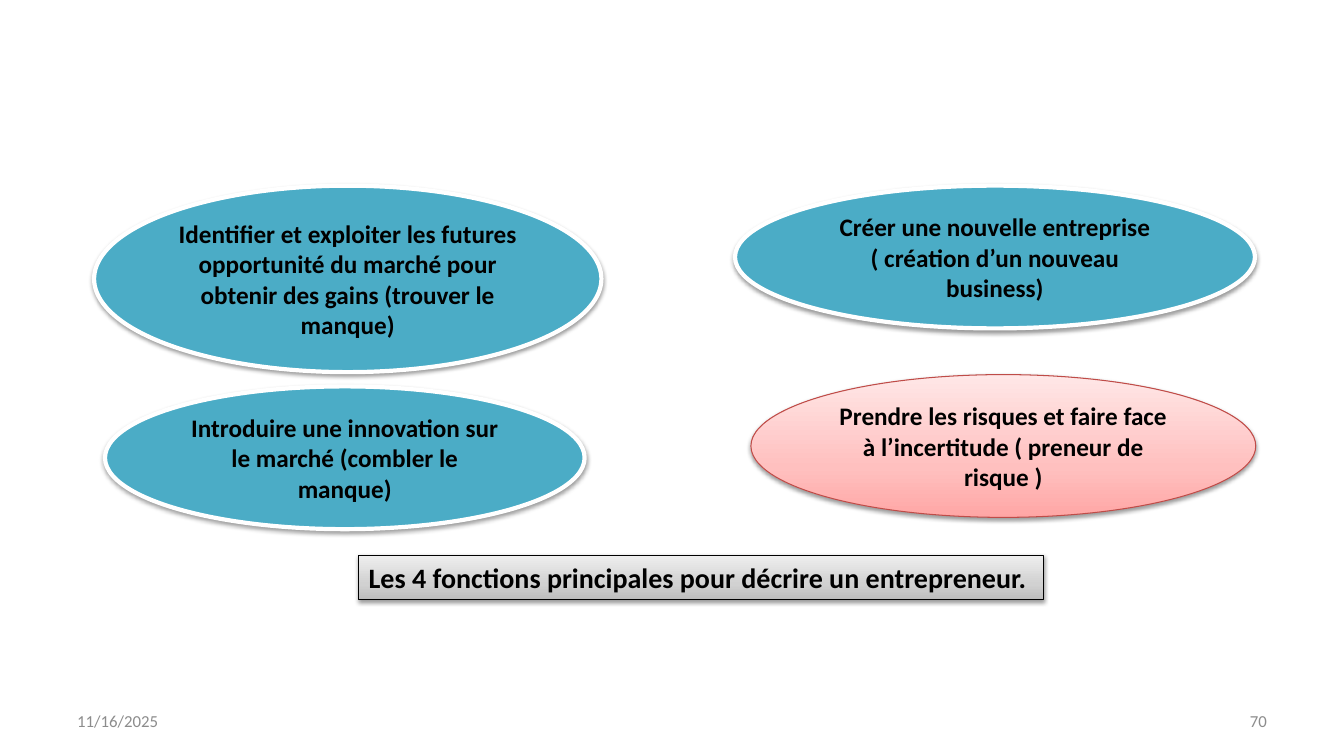
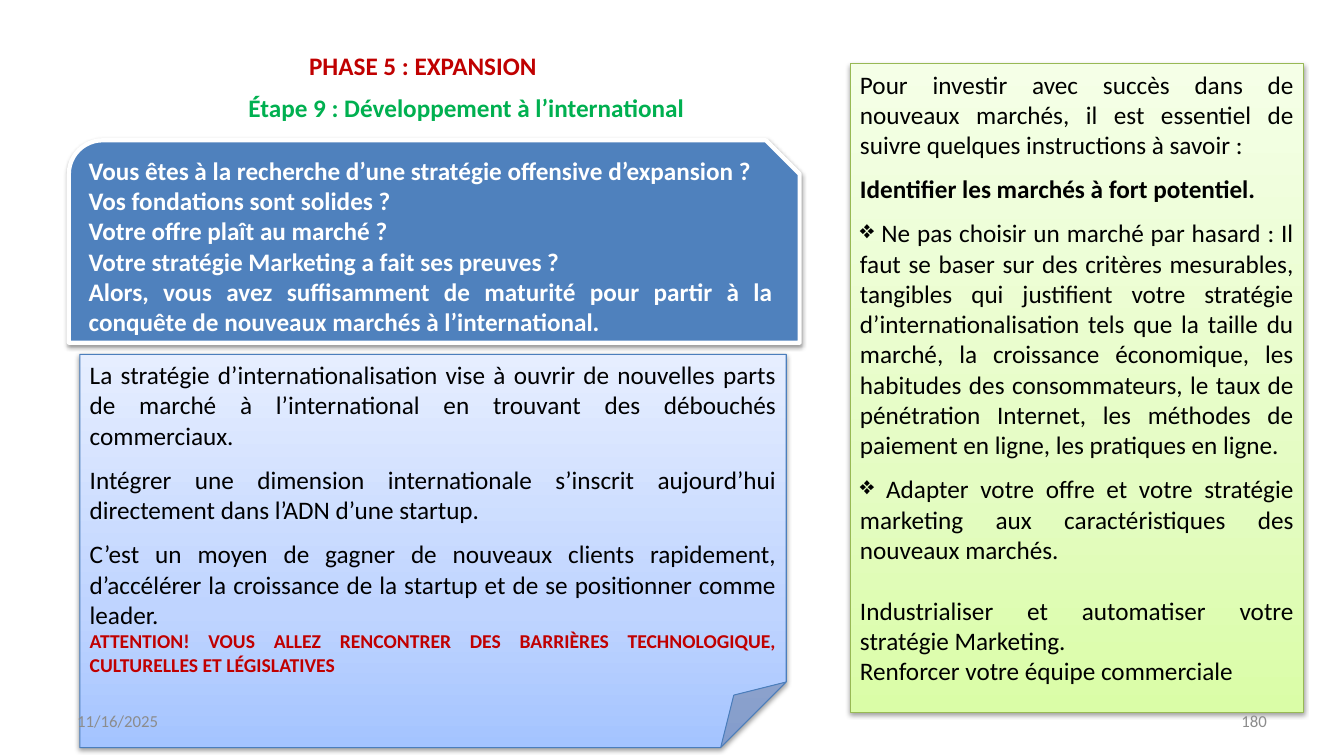
from dataclasses import dataclass

from pptx import Presentation
from pptx.dml.color import RGBColor
from pptx.enum.shapes import MSO_SHAPE as Preset
from pptx.enum.text import MSO_ANCHOR as Anchor, MSO_AUTO_SIZE as AutoSize, PP_ALIGN as Align
from pptx.oxml import parse_xml
from pptx.oxml.ns import nsdecls, qn
from pptx.util import Inches, Pt


@dataclass(frozen=True)
class Theme:
    font: str = "Calibri"
    body: int = 18
    banner: int = 20
    warning: int = 14
    footer: int = 12
    gap: int = 10
    wide_gap: int = 22
    thin_line: float = 0.75
    thick_line: float = 3
    black: str = "000000"
    white: str = "FFFFFF"
    teal: str = "4BACC6"
    blue: str = "4F81BD"
    red: str = "C00000"
    green: str = "00B050"
    muted: str = "8C8C8C"
    pink_line: str = "BF4C48"
    blue_line: str = "4B7EBC"
    lime_line: str = "98B955"
    pink_fade: tuple = ("FFA6A5", "FFC0BF", "FFE7E7")
    gray_fade: tuple = ("BDBDBD", "D1D1D1", "EEEEEE")
    blue_fade: tuple = ("A4C4FF", "BFD4FF", "E6EEFF")
    lime_fade: tuple = ("DAFDA7", "E4FCC2", "F5FFE7")


THEME = Theme()
COLUMNS, ROWS = 80, 45
TITLE_ONLY, BLANK = 5, 6
FADE_STOPS = (0, 35, 100)


def add_paragraph(frame, text, size=THEME.body, color=THEME.black, bold=False,
                  align=Align.LEFT, before=0, bullet=None):
    paragraph = frame.add_paragraph() if frame.text else frame.paragraphs[0]
    paragraph.text = text
    paragraph.alignment = align
    paragraph.space_before = Pt(before)
    if bullet:
        properties = paragraph._p.get_or_add_pPr()
        properties.append(parse_xml(f'<a:buChar {nsdecls("a")} char="{bullet}"/>'))
    font = paragraph.runs[0].font
    font.name, font.size, font.bold = THEME.font, Pt(size), bold
    font.color.rgb = RGBColor.from_string(color)


class Deck:
    def __init__(self):
        self.presentation = Presentation()
        self.presentation.slide_width = Inches(13.33)
        self.presentation.slide_height = Inches(7.5)
        self.slide = None

    def new_slide(self, layout):
        self.slide = self.presentation.slides.add_slide(self.presentation.slide_layouts[layout])

    def place(self, left, top, width, height):
        column = self.presentation.slide_width / COLUMNS
        row = self.presentation.slide_height / ROWS
        return [int(length) for length in (left * column, top * row, width * column, height * row)]

    def fill_frame(self, frame, lines, anchor=Anchor.TOP, wrap=True, **style):
        frame.auto_size = AutoSize.NONE
        frame.word_wrap = wrap
        frame.vertical_anchor = anchor
        for line in lines:
            text, changes = (line, {}) if isinstance(line, str) else line
            add_paragraph(frame, text, **{**style, **changes})

    def title(self, text, box, **style):
        shape = self.slide.shapes.title
        shape.left, shape.top, shape.width, shape.height = self.place(*box)
        self.fill_frame(shape.text_frame, [text], wrap=False, **style)

    def label(self, text, box, **style):
        shape = self.slide.shapes.add_textbox(*self.place(*box))
        self.fill_frame(shape.text_frame, [text], **style)

    def panel(self, preset, box, lines, fill, line, **style):
        shape = self.slide.shapes.add_shape(preset, *self.place(*box))
        solid = isinstance(fill, str)
        if solid:
            shape.fill.solid()
            shape.fill.fore_color.rgb = RGBColor.from_string(fill)
        else:
            self.fade(shape, fill)
        shape.line.color.rgb = RGBColor.from_string(line)
        shape.line.width = Pt(THEME.thick_line if solid else THEME.thin_line)
        self.shade(shape)
        self.fill_frame(shape.text_frame, lines, **style)

    def fade(self, shape, colors):
        stops = "".join(
            f'<a:gs pos="{stop * 1000}"><a:srgbClr val="{color}"/></a:gs>'
            for stop, color in zip(FADE_STOPS, colors))
        gradient = parse_xml(
            f'<a:gradFill {nsdecls("a")} rotWithShape="1"><a:gsLst>{stops}</a:gsLst>'
            '<a:lin ang="16200000" scaled="0"/></a:gradFill>')
        shape._element.spPr.find(qn("a:prstGeom")).addnext(gradient)

    def shade(self, shape):
        shape._element.spPr.append(parse_xml(
            f'<a:effectLst {nsdecls("a")}>'
            '<a:outerShdw blurRad="40000" dist="20000" dir="5400000" rotWithShape="0">'
            '<a:srgbClr val="000000"><a:alpha val="38000"/></a:srgbClr>'
            '</a:outerShdw></a:effectLst>'))

    def footer(self, date, number):
        margin, top, width, height = 4, 41.7, 18.67, 2.4
        style = dict(size=THEME.footer, color=THEME.muted, anchor=Anchor.MIDDLE)
        self.label(date, (margin, top, width, height), **style)
        self.label(number, (COLUMNS - margin - width, top, width, height),
                   align=Align.RIGHT, **style)


def build_functions(deck):
    deck.new_slide(BLANK)
    teal = (THEME.teal, THEME.white)
    pink = (THEME.pink_fade, THEME.pink_line)
    functions = [
        ((5.6, 11.05, 30.2, 11.1), teal,
         ["Identifier et exploiter les futures opportunité du marché pour obtenir des gains "
          "(trouver le manque)"]),
        ((43.75, 11.05, 30.95, 8.5), teal,
         ["Créer une nouvelle entreprise", "( création d’un nouveau business)"]),
        ((6.25, 23, 28.55, 8.5), teal,
         ["Introduire une innovation sur le marché (combler le manque)"]),
        ((44.7, 22.3, 30.05, 8.5), pink,
         ["Prendre les risques et faire face à l’incertitude ( preneur de risque )"]),
    ]
    for box, (fill, line), lines in functions:
        deck.panel(Preset.OVAL, box, lines, fill, line,
                   bold=True, align=Align.CENTER, anchor=Anchor.MIDDLE)
    deck.panel(Preset.RECTANGLE, (21.35, 33.05, 40.75, 2.65),
               ["Les 4 fonctions principales pour décrire un entrepreneur."],
               THEME.gray_fade, THEME.black, size=THEME.banner, bold=True, wrap=False)
    deck.footer("11/16/2025", "70")


def build_expansion(deck):
    deck.new_slide(TITLE_ONLY)
    deck.title("PHASE 5 : EXPANSION", (17.8, 2.7, 14.9, 2.4), color=THEME.red, bold=True)
    deck.label("Étape 9 : Développement à l’international", (14.2, 5.2, 27.35, 2.4),
               color=THEME.green, bold=True, wrap=False)

    gap = dict(before=THEME.gap)
    point = dict(before=THEME.gap, bullet="❖")
    questions = [
        "Vous êtes à la recherche d’une stratégie offensive d’expansion ?",
        "Vos fondations sont solides ?",
        "Votre offre plaît au marché ?",
        "Votre stratégie Marketing a fait ses preuves ?",
        "Alors, vous avez suffisamment de maturité pour partir à la conquête de nouveaux "
        "marchés à l’international.",
    ]
    strategy = [
        "La stratégie d’internationalisation vise à ouvrir de nouvelles parts de marché à "
        "l’international en trouvant des débouchés commerciaux.",
        ("Intégrer une dimension internationale s’inscrit aujourd’hui directement dans l’ADN "
         "d’une startup.", gap),
        ("C’est un moyen de gagner de nouveaux clients rapidement, d’accélérer la croissance "
         "de la startup et de se positionner comme leader.", gap),
        ("ATTENTION! VOUS ALLEZ RENCONTRER DES BARRIÈRES TECHNOLOGIQUE, CULTURELLES ET "
         "LÉGISLATIVES", dict(size=THEME.warning, color=THEME.red, bold=True)),
    ]
    instructions = [
        "Pour investir avec succès dans de nouveaux marchés, il est essentiel de suivre "
        "quelques instructions à savoir :",
        ("Identifier les marchés à fort potentiel.", dict(gap, bold=True)),
        (" Ne pas choisir un marché par hasard : Il faut se baser sur des critères mesurables, "
         "tangibles qui justifient votre stratégie d’internationalisation tels que la taille "
         "du marché, la croissance économique, les habitudes des consommateurs, le taux de "
         "pénétration Internet, les méthodes de paiement en ligne, les pratiques en ligne.",
         point),
        (" Adapter votre offre et votre stratégie marketing aux caractéristiques des nouveaux "
         "marchés.", point),
        ("Industrialiser et automatiser votre stratégie Marketing.",
         dict(before=THEME.wide_gap)),
        "Renforcer votre équipe commerciale",
    ]
    deck.panel(Preset.SNIP_ROUND_RECTANGLE, (4.1, 8.35, 43.5, 12.05), questions,
               THEME.blue, THEME.white, color=THEME.white, bold=True, align=Align.JUSTIFY)
    deck.panel(Preset.FOLDED_CORNER, (4.75, 21.1, 42.05, 23.4), strategy,
               THEME.blue_fade, THEME.blue_line, align=Align.JUSTIFY)
    deck.panel(Preset.RECTANGLE, (50.6, 3.8, 27, 38.6), instructions,
               THEME.lime_fade, THEME.lime_line, align=Align.JUSTIFY)
    deck.footer("11/16/2025", "180")


def main():
    deck = Deck()
    build_functions(deck)
    build_expansion(deck)
    deck.presentation.save("out.pptx")


if __name__ == "__main__":
    main()
